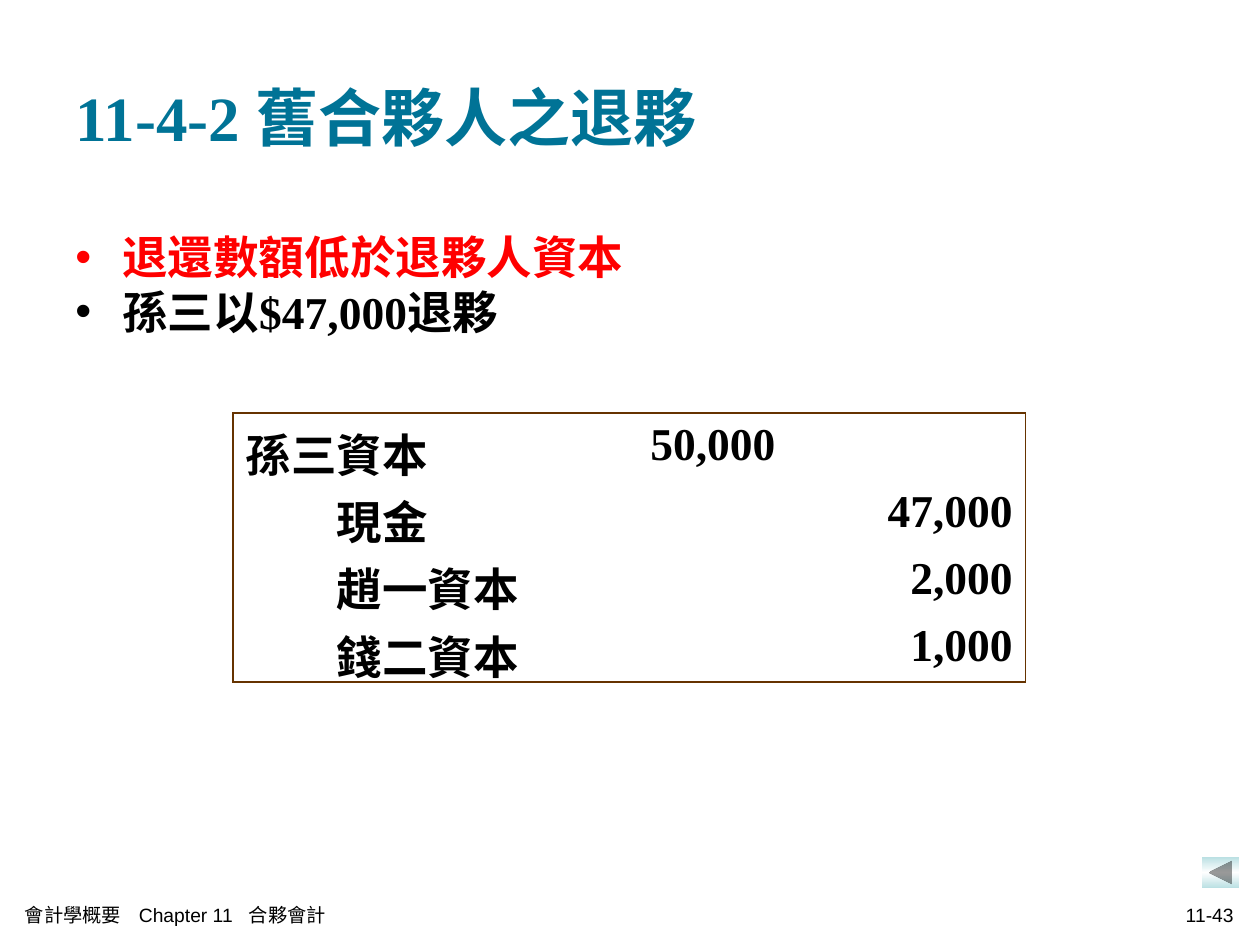
"""Build the slide on a retiring partner paid less than the capital balance."""
import copy
import dataclasses

import lxml.etree
import pptx
import pptx.dml.color
import pptx.enum.shapes
import pptx.enum.text
import pptx.oxml.ns
import pptx.util

Cm = pptx.util.Cm
ALIGN = pptx.enum.text.PP_ALIGN
MIDDLE = pptx.enum.text.MSO_ANCHOR.MIDDLE


@dataclasses.dataclass(frozen=True)
class Theme:
    heading: str = "007396"
    accent: str = "FF0000"
    text: str = "000000"
    border: str = "663300"
    button: str = "BBE0E3"
    button_middle: str = "FFFFFF"
    serif: str = "Times New Roman"
    sans: str = "Arial"
    title_size: int = 36
    body_size: int = 26
    footer_size: int = 11
    border_width: float = 1.08


theme = Theme()


def add_child(parent, tag, **attributes):
    return lxml.etree.SubElement(parent, pptx.oxml.ns.qn(tag), attributes)


def format_runs(paragraph, size, color, face, bold):
    for run in paragraph.runs:
        run.font.size = pptx.util.Pt(size)
        run.font.name = face
        run.font.bold = bold
        run.font.color.rgb = pptx.dml.color.RGBColor.from_string(color)


deck = pptx.Presentation()
deck.slide_width, deck.slide_height = Cm(25.4), Cm(19.05)
slide = deck.slides.add_slide(deck.slide_layouts[5])

heading = slide.shapes.title
heading.left, heading.top, heading.width, heading.height = Cm(1.27), Cm(0.76), Cm(22.86), Cm(3.18)
heading.text_frame.text = "11-4-2 舊合夥人之退夥"
heading.text_frame.vertical_anchor = MIDDLE
heading_line = heading.text_frame.paragraphs[0]
heading_line.alignment = ALIGN.LEFT
format_runs(heading_line, theme.title_size, theme.heading, theme.serif, True)

case = slide.shapes.add_textbox(Cm(1.27), Cm(4.5), Cm(22.86), Cm(12.5)).text_frame
case.word_wrap = True
case.text = "退還數額低於退夥人資本\n孫三以$47,000退夥"
for point, color in zip(case.paragraphs, (theme.accent, theme.text)):
    properties = point._p.get_or_add_pPr()
    properties.set("marL", str(Cm(0.95)))
    properties.set("indent", str(Cm(-0.95)))
    add_child(add_child(properties, "a:buClr"), "a:srgbClr", val=color)
    add_child(properties, "a:buFont", typeface=theme.sans)
    add_child(properties, "a:buChar", char="•")
    format_runs(point, theme.body_size, color, theme.serif, True)

entries = [
    ("孫三資本", "50,000", ""),
    ("現金", "", "47,000"),
    ("趙一資本", "", "2,000"),
    ("錢二資本", "", "1,000"),
]
column_widths = [6.56, 4.63, 4.78]
row_height = 1.35
journal = slide.shapes.add_table(
    len(entries), len(column_widths), Cm(4.7), Cm(8.33),
    Cm(sum(column_widths)), Cm(row_height * len(entries)),
).table
journal.first_row = journal.horz_banding = False
for column, width in zip(journal.columns, column_widths):
    column.width = Cm(width)
for row, entry in enumerate(entries):
    journal.rows[row].height = Cm(row_height)
    for column, content in enumerate(entry):
        cell = journal.cell(row, column)
        cell.fill.background()
        cell.text_frame.text = content
        line = cell.text_frame.paragraphs[0]
        line.alignment = ALIGN.RIGHT if column else ALIGN.LEFT
        if row and not column:
            line._p.get_or_add_pPr().set("marL", str(Cm(1.83)))
        line.font.size = pptx.util.Pt(theme.body_size)
        format_runs(line, theme.body_size, theme.text, theme.serif, True)
        outer_edges = {
            "a:lnL": column == 0,
            "a:lnR": column == len(column_widths) - 1,
            "a:lnT": row == 0,
            "a:lnB": row == len(entries) - 1,
        }
        cell_properties = cell._tc.get_or_add_tcPr()
        for position, (edge, outer) in enumerate(outer_edges.items()):
            border = add_child(cell_properties, edge, w=str(pptx.util.Pt(theme.border_width)))
            if outer:
                add_child(add_child(border, "a:solidFill"), "a:srgbClr", val=theme.border)
            else:
                add_child(border, "a:noFill")
            cell_properties.insert(position, border)

back = slide.shapes.add_shape(
    pptx.enum.shapes.MSO_SHAPE.ACTION_BUTTON_BACK_OR_PREVIOUS,
    Cm(24.23), Cm(17.28), Cm(0.75), Cm(0.62),
)
back.shadow.inherit = False
back.line.fill.background()
back.fill.gradient()
back.fill.gradient_angle = 90
stop_list = back.fill._xPr.find(".//" + pptx.oxml.ns.qn("a:gsLst"))
stop_list.insert(1, copy.deepcopy(stop_list[0]))
for stop, position, color in zip(
    back.fill.gradient_stops, (0, 0.5, 1), (theme.button, theme.button_middle, theme.button)
):
    stop.position = position
    stop.color.rgb = pptx.dml.color.RGBColor.from_string(color)

footers = [
    ("會計學概要\tChapter 11\t合夥會計", 0.25, 12.95, ALIGN.LEFT, (2.3, 4.52)),
    ("11-43", 17.2, 7.92, ALIGN.RIGHT, ()),
]
for content, left, width, alignment, tab_stops in footers:
    footer = slide.shapes.add_textbox(Cm(left), Cm(18.03), Cm(width), Cm(0.84)).text_frame
    footer.word_wrap = True
    footer.vertical_anchor = MIDDLE
    footer.text = content
    line = footer.paragraphs[0]
    line.alignment = alignment
    if tab_stops:
        tab_list = add_child(line._p.get_or_add_pPr(), "a:tabLst")
        for tab_stop in tab_stops:
            add_child(tab_list, "a:tab", pos=str(Cm(tab_stop)), algn="l")
    format_runs(line, theme.footer_size, theme.text, theme.sans, False)

deck.save("out.pptx")
